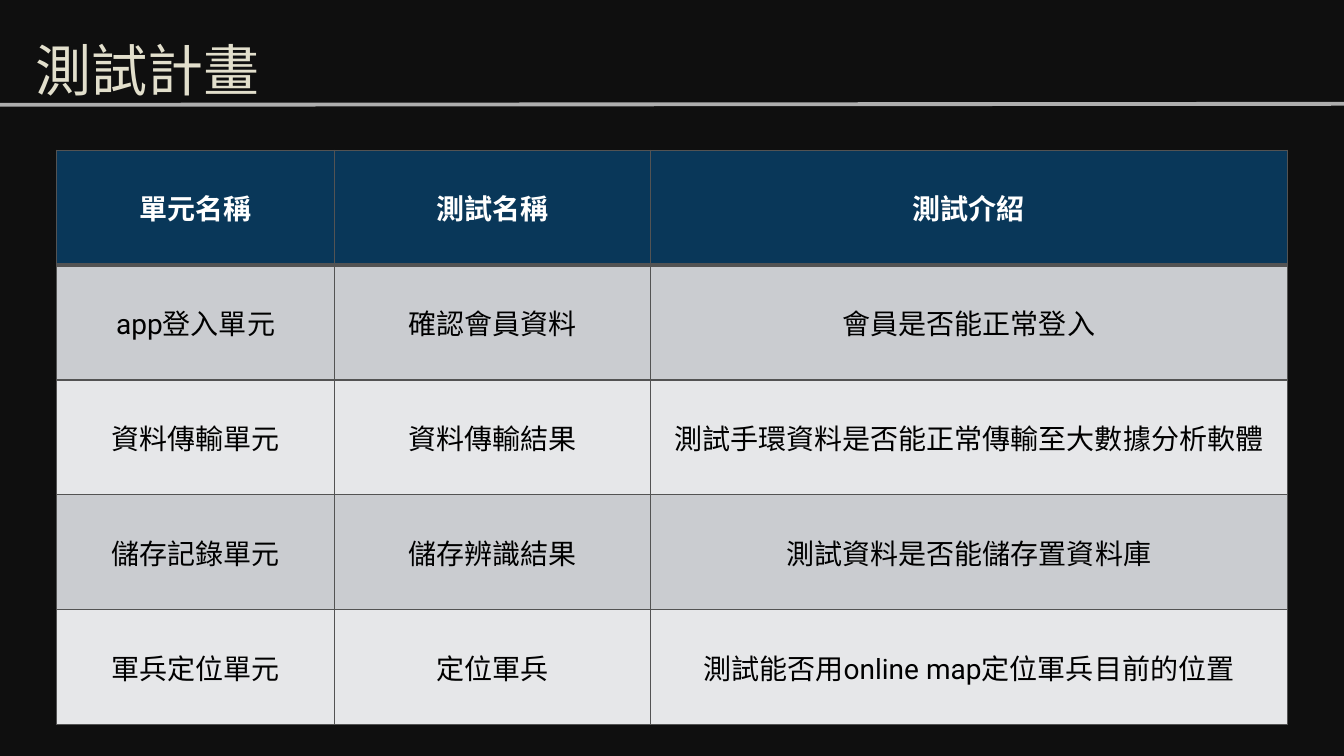
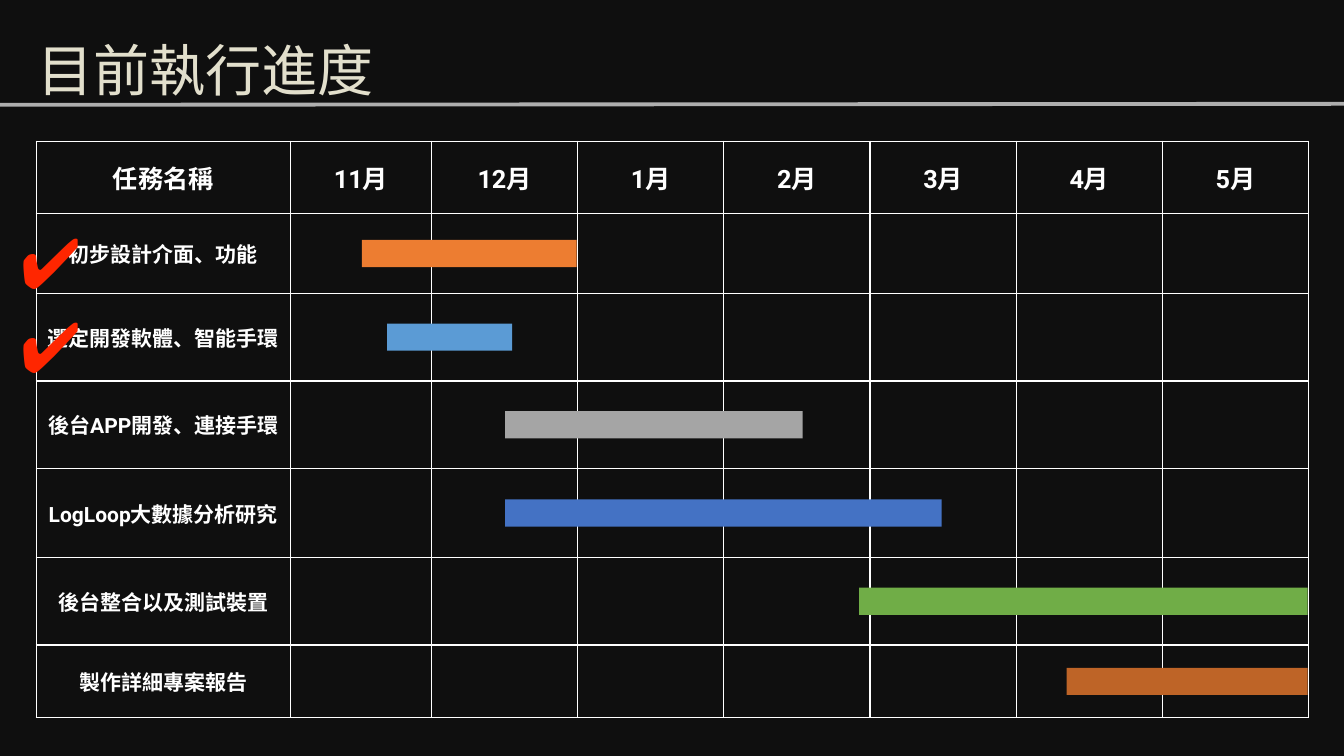
from itertools import accumulate

from lxml import etree
from pptx import Presentation
from pptx import util as u
from pptx.dml.color import RGBColor
from pptx.enum import shapes, text
from pptx.oxml.ns import qn

BACKGROUND, RULE, TITLE = "0F0F0F", "F2F2F2", "E2DFCC"
WHITE, BLACK = "FFFFFF", "000000"
HEADER_FILL, ROW_FILLS, GRID = "093759", ("CACCD0", "E6E7E9"), "535353"
CHECK = "FF2600"
LATIN_FONT, CJK_FONT = "Roboto", "Noto Sans CJK SC"


def rgb(hex_color):
    return RGBColor.from_string(hex_color)


def set_borders(cell, color, left=1, right=1, top=1, bottom=1):
    """Give a cell solid borders, widths in points; call before setting its fill."""
    properties = cell._tc.get_or_add_tcPr()
    for side, width in zip("LRTB", (left, right, top, bottom)):
        line = etree.SubElement(properties, qn(f"a:ln{side}"), w=str(u.Pt(width)))
        fill = etree.SubElement(line, qn("a:solidFill"))
        etree.SubElement(fill, qn("a:srgbClr"), val=color)


class Deck:
    """Holds the shared style and the slide being built."""

    def __init__(self):
        self.presentation = Presentation()
        self.presentation.slide_width = u.Inches(13.33)
        self.presentation.slide_height = u.Inches(7.5)
        self.layout = self.presentation.slide_layouts.get_by_name("Title Only")
        background = self.presentation.slide_master.background.fill
        background.solid()
        background.fore_color.rgb = rgb(BACKGROUND)
        self.slide = None

    def new_slide(self, heading, left):
        self.slide = self.presentation.slides.add_slide(self.layout)
        self.title_rule()
        title = self.slide.shapes.title
        title.left, title.top = u.Inches(left), u.Inches(0)
        title.width, title.height = u.Inches(4.65), u.Inches(1.45)
        frame = title.text_frame
        self.set_margins(frame, 0.05)
        frame.vertical_anchor = text.MSO_ANCHOR.MIDDLE
        frame.auto_size = text.MSO_AUTO_SIZE.NONE
        frame.word_wrap = True
        paragraph = frame.paragraphs[0]
        paragraph.alignment = text.PP_ALIGN.LEFT
        paragraph.line_spacing = 0.9
        self.run(paragraph, heading, 40, TITLE, latin=CJK_FONT)

    def title_rule(self):
        rule = self.slide.shapes.add_connector(
            shapes.MSO_CONNECTOR.STRAIGHT,
            u.Inches(0), u.Inches(1.04), u.Inches(13.33), u.Inches(1.03))
        rule.line.width = u.Pt(2.75)
        rule.line.color.rgb = rgb(RULE)
        properties = rule.element.spPr
        color = properties.find(".//" + qn("a:srgbClr"))
        etree.SubElement(color, qn("a:alpha"), val="70000")
        etree.SubElement(properties, qn("a:effectLst"))

    @staticmethod
    def set_margins(frame, margin):
        frame.margin_left = frame.margin_right = u.Inches(margin)
        frame.margin_top = frame.margin_bottom = u.Inches(margin)

    @staticmethod
    def run(paragraph, words, size, color, bold=False, latin=LATIN_FONT):
        run = paragraph.add_run()
        run.text = words
        font = run.font
        font.size, font.bold, font.name = u.Pt(size), bold, latin
        font.color.rgb = rgb(color)
        east_asian = etree.SubElement(run._r.get_or_add_rPr(), qn("a:ea"))
        east_asian.set("typeface", CJK_FONT)

    def table(self, left, top, widths, heights):
        table = self.slide.shapes.add_table(
            len(heights), len(widths), u.Inches(left), u.Inches(top),
            u.Inches(sum(widths)), u.Inches(sum(heights))).table
        for column, width in zip(table.columns, widths):
            column.width = u.Inches(width)
        for row, height in zip(table.rows, heights):
            row.height = u.Inches(height)
        return table

    def cell(self, cell, words, size, color, bold, margin, fill=None):
        """Fill and centre one cell; without a fill the background shows."""
        if fill:
            cell.fill.solid()
            cell.fill.fore_color.rgb = rgb(fill)
        else:
            cell.fill.background()
        self.set_margins(cell, margin)
        cell.vertical_anchor = text.MSO_ANCHOR.MIDDLE
        paragraph = cell.text_frame.paragraphs[0]
        paragraph.alignment = text.PP_ALIGN.CENTER
        if words:
            self.run(paragraph, words, size, color, bold)

    def bar(self, left, top, width, height, color):
        bar = self.slide.shapes.add_shape(
            shapes.MSO_SHAPE.RECTANGLE, u.Inches(left), u.Inches(top),
            u.Inches(width), u.Inches(height))
        bar.shadow.inherit = False
        bar.fill.solid()
        bar.fill.fore_color.rgb = rgb(color)
        bar.line.fill.background()

    def check_mark(self, left, top):
        frame = self.slide.shapes.add_textbox(
            u.Inches(left), u.Inches(top), u.Inches(0.7), u.Inches(0.79)).text_frame
        self.set_margins(frame, 0.05)
        frame.word_wrap = False
        frame.auto_size = text.MSO_AUTO_SIZE.SHAPE_TO_FIT_TEXT
        self.run(frame.paragraphs[0], "✔", 50, CHECK)


def test_plan(deck):
    deck.new_slide("測試計畫", 0.3)
    tests = [
        ("單元名稱", "測試名稱", "測試介紹"),
        ("app登入單元", "確認會員資料", "會員是否能正常登入"),
        ("資料傳輸單元", "資料傳輸結果", "測試手環資料是否能正常傳輸至大數據分析軟體"),
        ("儲存記錄單元", "儲存辨識結果", "測試資料是否能儲存置資料庫"),
        ("軍兵定位單元", "定位軍兵", "測試能否用online map定位軍兵目前的位置"),
    ]
    table = deck.table(0.56, 1.49, [2.76, 3.13, 6.32], [1.14] * len(tests))
    for r, row in enumerate(tests):
        header = r == 0
        fill = HEADER_FILL if header else ROW_FILLS[(r - 1) % 2]
        for c, words in enumerate(row):
            cell = table.cell(r, c)
            set_borders(cell, GRID, top=3 if r == 1 else 1, bottom=3 if header else 1)
            deck.cell(cell, words, 20, WHITE if header else BLACK, header, 0, fill)


def progress(deck):
    deck.new_slide("目前執行進度", 0.32)
    headings = ["任務名稱", "11月", "12月", "1月", "2月", "3月", "4月", "5月"]
    # Each task: name, bar start, bar length, bar colour
    tasks = [
        ("初步設計介面、功能", 3.59, 2.13, "ED7D31"),
        ("選定開發軟體、智能手環", 3.84, 1.24, "5B9BD5"),
        ("後台APP開發、連接手環", 5.01, 2.95, "A5A5A5"),
        ("LogLoop大數據分析研究", 5.01, 4.33, "4472C4"),
        ("後台整合以及測試裝置", 8.52, 4.45, "70AD47"),
        ("製作詳細專案報告", 10.58, 2.39, "BE6427"),
    ]
    table_top, bar_height = 1.4, 0.27
    heights = [0.72, 0.79, 0.87, 0.87, 0.88, 0.87, 0.72]
    table = deck.table(0.36, table_top, [2.52, 1.4] + [1.45] * 6, heights)
    rows = [headings] + [[task[0]] + [""] * 7 for task in tasks]
    for r, row in enumerate(rows):
        for c, words in enumerate(row):
            cell = table.cell(r, c)
            set_borders(cell, WHITE)
            deck.cell(cell, words, 15 if r else 18, WHITE, True, 0.05)

    row_tops = accumulate(heights[:-1], initial=table_top)
    next(row_tops)
    for (_, start, length, color), top, height in zip(tasks, row_tops, heights[1:]):
        deck.bar(start, top + (height - bar_height) / 2, length, bar_height, color)
    for done in range(2):
        deck.check_mark(0.15, 2.12 + 0.83 * done)


def main():
    deck = Deck()
    test_plan(deck)
    progress(deck)
    deck.presentation.save("out.pptx")


if __name__ == "__main__":
    main()
